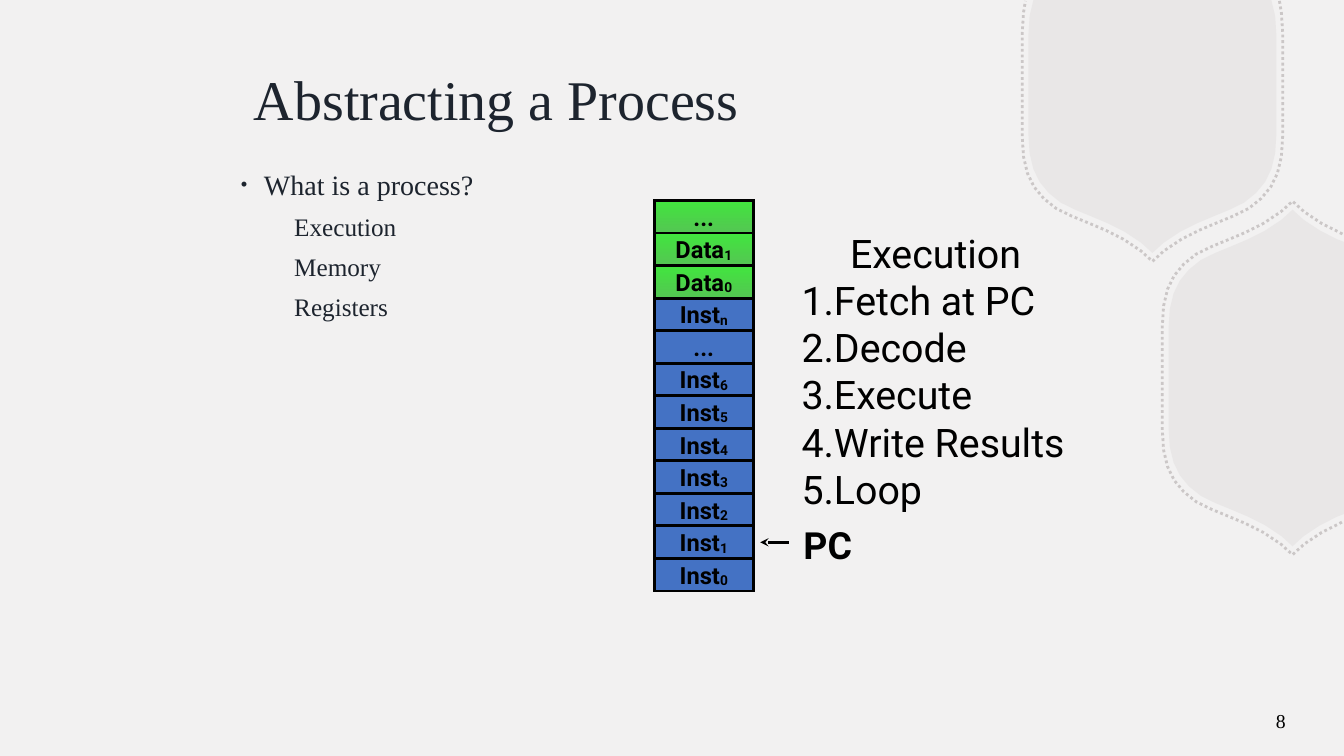
from lxml import etree
from pptx import Presentation
from pptx import util as u
from pptx.dml.color import RGBColor
from pptx.enum import dml, shapes, text
from pptx.oxml.ns import qn

COLORS = {"background": "F2F1F1", "hexagon": "B8B2B2", "heading": "1D242E", "black": "000000",
          "instruction": "4472C4", "data top": "05E500", "data bottom": "02B000"}
SERIF, SANS = "Times New Roman", "Roboto"


def paint(color, name, opacity=100):
    color.rgb = RGBColor.from_string(COLORS[name])
    if opacity < 100:
        tint = color._xFill if hasattr(color, "_xFill") else color._color._xClr
        clr = tint if tint.tag == qn("a:srgbClr") else tint.find(qn("a:srgbClr"))
        etree.SubElement(clr, qn("a:alpha"), val=str(opacity * 1000))


def write(frame, words, size, font, color="black", bold=False, align=text.PP_ALIGN.LEFT,
          subscript="", before=0, spacing=None, left=0, hang=0, bullets=()):
    line = frame.paragraphs[0]
    if line.runs:
        line = frame.add_paragraph()
    line.alignment = align
    line.space_before = u.Pt(before)
    if spacing:
        line.line_spacing = spacing
    props = line._p.get_or_add_pPr()
    props.set("marL", str(u.Inches(left)))
    props.set("indent", str(-u.Inches(hang)))
    for tag, attributes in bullets:
        etree.SubElement(props, qn(tag), **attributes)
    for part in filter(None, (words, subscript)):
        run = line.add_run()
        run.text = part
        run.font.size, run.font.name, run.font.bold = u.Pt(size), font, bold
        paint(run.font.color, color)
        if part == subscript:
            run._r.get_or_add_rPr().set("baseline", "-6000")


deck = Presentation()
deck.slide_width, deck.slide_height = u.Inches(13.33), u.Inches(7.5)
slide = deck.slides.add_slide(deck.slide_layouts[6])
slide.background.fill.solid()
paint(slide.background.fill.fore_color, "background")

curves = [[(1.23, 0.49), (1.23, 0.84), (1.13, 1.02), (0.91, 1.17)],
          [(0.91, 1.17), (0.68, 1.3), (0.38, 1.36), (0.11, 1.57)]]
steps = 5
quarter = [curves[0][0]]
for curve in curves:
    for step in range(1, steps + 1):
        t = step / steps
        weights = ((1 - t) ** 3, 3 * t * (1 - t) ** 2, 3 * t * t * (1 - t), t ** 3)
        quarter.append(tuple(sum(w * point[axis] for w, point in zip(weights, curve))
                             for axis in (0, 1)))
quarter.append((0, 1.67))
right_bottom = quarter
left_bottom = [(-x, y) for x, y in reversed(quarter[:-1])]
left_top = [(-x, -y) for x, y in quarter]
right_top = [(x, -y) for x, y in reversed(quarter[:-1])]
upper = (11.43, 0.84, right_top + right_bottom + left_bottom + left_top)
lower = (12.82, 3.75, right_bottom + left_bottom + left_top + right_top)

for (center_x, center_y, outline), scale, start, end in (
        (upper, 1, (12.61, 0), (10.25, 0)),
        (lower, 1, (13.33, 5.1), (13.33, 2.4)),
        (upper, 1.05, (12.69, 0.01), (10.17, 0.01)),
        (lower, 1.05, (13.31, 5.18), (13.33, 2.33))):
    dotted = scale > 1
    points = [(center_x + x * scale, center_y + y * scale) for x, y in outline]
    points = [start, *[(x, y) for x, y in points if x < 13.3 and y > 0.02], end]
    points = [(u.Inches(x), u.Inches(y)) for x, y in points]
    builder = slide.shapes.build_freeform(*points[0])
    builder.add_line_segments(points[1:], close=not dotted)
    hexagon = builder.convert_to_shape()
    hexagon.shadow.inherit = False
    if dotted:
        hexagon.fill.background()
        hexagon.line.width = u.Pt(2)
        hexagon.line.dash_style = dml.MSO_LINE.ROUND_DOT
        paint(hexagon.line.color, "hexagon", 65)
    else:
        hexagon.line.fill.background()
        hexagon.fill.solid()
        paint(hexagon.fill.fore_color, "hexagon", 15)

frames = {}
for part, box, anchor, inset, wrap in (
        ("title", (2.42, 0.35, 8.5, 1.25), "MIDDLE", True, True),
        ("outline", (2.27, 1.58, 3.64, 5.14), "TOP", True, True),
        ("pc", (7.95, 5.17, 0.52, 0.45), "BOTTOM", False, False),
        ("cycle", (7.95, 2.14, 2.66, 2.94), "BOTTOM", False, True),
        ("number", (12.29, 6.95, 0.56, 0.4), "MIDDLE", True, True)):
    frame = slide.shapes.add_textbox(*map(u.Inches, box)).text_frame
    frame.word_wrap = wrap
    frame.vertical_anchor = text.MSO_ANCHOR[anchor]
    if not inset:
        frame.margin_left = frame.margin_right = frame.margin_top = frame.margin_bottom = 0
    frames[part] = frame

write(frames["title"], "Abstracting a Process", 40, SERIF, "heading")
write(frames["outline"], "What is a process?", 20, SERIF, "heading", before=10, spacing=1.1,
      left=0.25, hang=0.25,
      bullets=[("a:buSzPct", {"val": "150000"}), ("a:buFont", {"typeface": SERIF}),
               ("a:buChar", {"char": "∙"})])
for topic in ("Execution", "Memory", "Registers"):
    write(frames["outline"], topic, 18, SERIF, "heading", before=5, spacing=1.1, left=0.55)
write(frames["pc"], "PC", 26.7, SANS, bold=True, align=text.PP_ALIGN.CENTER)
write(frames["cycle"], "Execution", 28.1, SANS, align=text.PP_ALIGN.CENTER)
for stage in ("Fetch at PC", "Decode", "Execute", "Write Results", "Loop"):
    write(frames["cycle"], stage, 28.1, SANS,
          bullets=[("a:buFont", {"typeface": SANS}),
                   ("a:buAutoNum", {"type": "arabicPeriod"})])
write(frames["number"], "8", 14.1, SERIF, align=text.PP_ALIGN.RIGHT)

memory = [("...", "", "data"), ("Data", "1", "data"), ("Data", "0", "data"),
          ("Inst", "n", "instruction"), ("...", "", "instruction")]
memory += [("Inst", str(index), "instruction") for index in range(6, -1, -1)]
pitch = (5.54 - 1.99) / (len(memory) - 1)
for row, (label, subscript, kind) in reversed(list(enumerate(memory))):
    cell = slide.shapes.add_shape(shapes.MSO_SHAPE.RECTANGLE, u.Inches(6.49),
                                  u.Inches(1.99 + row * pitch), u.Inches(0.98), u.Inches(pitch))
    cell.shadow.inherit = False
    cell.line.width = u.Pt(2)
    paint(cell.line.color, "black")
    etree.SubElement(cell.line._get_or_add_ln(), qn("a:miter"), lim="800000")
    if kind == "data":
        cell.fill.gradient()
        cell.fill.gradient_angle = 270
        for stop, shade, opacity in zip(cell.fill.gradient_stops,
                                        ("data top", "data bottom"), (75, 65)):
            paint(stop.color, shade, opacity)
    else:
        cell.fill.solid()
        paint(cell.fill.fore_color, kind)
    frame = cell.text_frame
    frame.margin_left = frame.margin_right = frame.margin_top = frame.margin_bottom = 0
    frame.vertical_anchor = text.MSO_ANCHOR.MIDDLE
    write(frame, label, 16.9, SANS, bold=True, align=text.PP_ALIGN.CENTER, subscript=subscript)

pointer = slide.shapes.add_connector(shapes.MSO_CONNECTOR.STRAIGHT, u.Inches(7.54),
                                     u.Inches(5.38), u.Inches(7.83), u.Inches(5.38))
pointer.line.width = u.Pt(2)
paint(pointer.line.color, "black")
etree.SubElement(pointer.line._get_or_add_ln(), qn("a:headEnd"), type="stealth")
etree.SubElement(pointer._element.spPr, qn("a:effectLst"))

deck.save("out.pptx")
